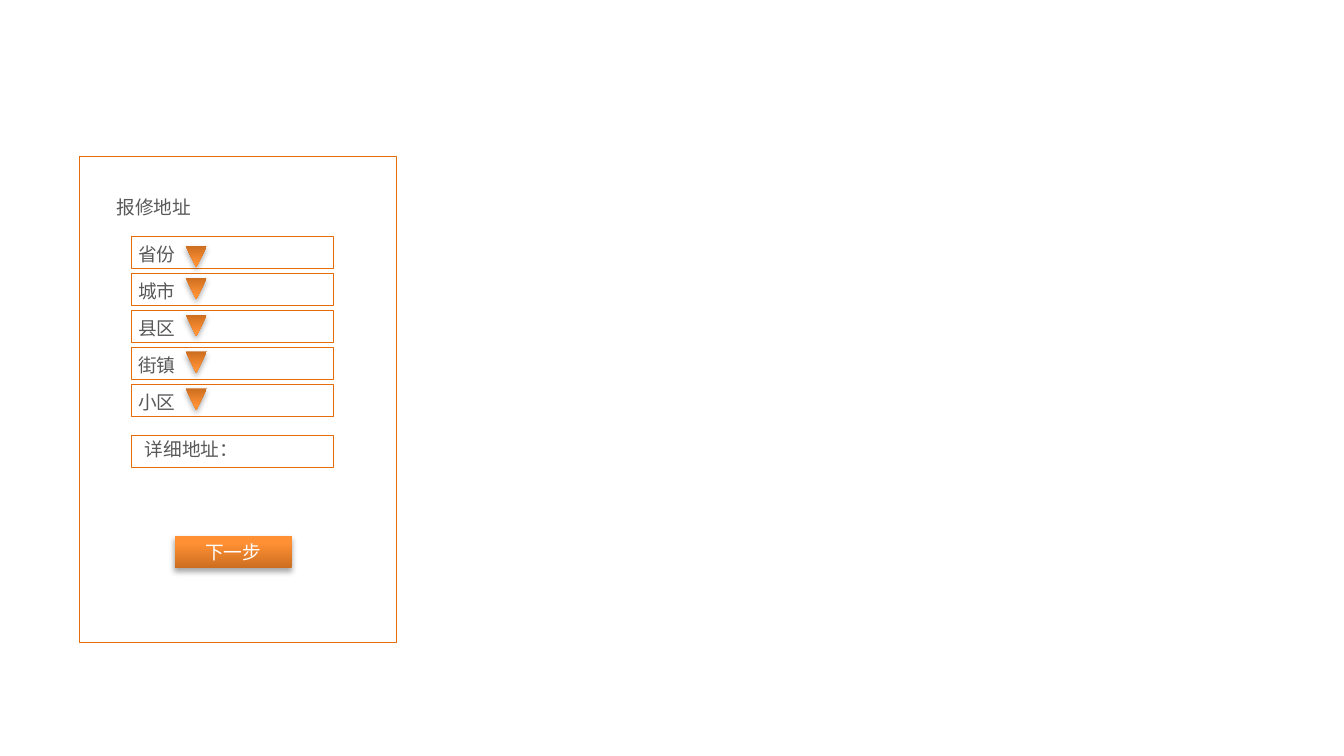
"""Build a slide with a repair-address form: five drop-down rows, a detail field and a button."""
from lxml.etree import SubElement
from pptx import Presentation
from pptx.dml.color import RGBColor
from pptx.enum.shapes import MSO_SHAPE
from pptx.enum.text import MSO_ANCHOR, MSO_AUTO_SIZE, PP_ALIGN
from pptx.oxml.ns import qn
from pptx.util import Inches, Pt

TITLE = "报修地址"
DROPDOWNS = [("省份", 0.07), ("城市", 0.03), ("县区", 0.03), ("街镇", 0.03), ("小区", 0.03)]
DETAIL = "详细地址："
BUTTON = "下一步"

COLORS = {"border": "E46C0A", "text": "595959", "button_text": "FFFFFF", "shadow": "000000"}
GRADIENT = [(0, "CC6E20"), (80, "FF9034"), (100, "FF9136")]
CHINESE_FONT = "Noto Sans CJK SC"
BUTTON_FONT = "Calibri"

SLIDE_WIDTH = 10
SLIDE_HEIGHT = SLIDE_WIDTH * 9 / 16
FIELD_LEFT, FIELD_WIDTH, FIELD_HEIGHT = 0.98, 1.5, 0.24
FIRST_ROW, LAST_ROW = 1.76, 2.86
ARROW_LEFT, ARROW_SIZE = 1.38, 0.16


def add_span(frame, text, font, color):
    span = frame.paragraphs[0].add_run()
    span.text = text
    span.font.size = Pt(10)
    span.font.name = font
    span.font.color.rgb = RGBColor.from_string(COLORS[color])
    SubElement(span.font._element, qn("a:ea")).set("typeface", CHINESE_FONT)


def add_label(page, text, left, top, width):
    box = page.shapes.add_textbox(Inches(left), Inches(top), Inches(width), Inches(0.27))
    box.text_frame.word_wrap = False
    box.text_frame.auto_size = MSO_AUTO_SIZE.SHAPE_TO_FIT_TEXT
    add_span(box.text_frame, text, CHINESE_FONT, "text")


def add_shape(page, kind, left, top, width, height):
    shape = page.shapes.add_shape(kind, Inches(left), Inches(top), Inches(width), Inches(height))
    shape.shadow.inherit = False
    return shape


def add_outline(page, left, top, width, height):
    frame = add_shape(page, MSO_SHAPE.RECTANGLE, left, top, width, height)
    frame.fill.background()
    frame.line.color.rgb = RGBColor.from_string(COLORS["border"])
    frame.line.width = Pt(0.25)


def add_raised(page, kind, left, top, width, height):
    shape = add_shape(page, kind, left, top, width, height)
    shape.line.fill.background()
    shape.fill.gradient()
    shape.fill.gradient_angle = 90
    properties = shape._element.spPr
    stops = properties.find(qn("a:gradFill")).find(qn("a:gsLst"))
    for stop in list(stops):
        stops.remove(stop)
    for percent, color in GRADIENT:
        stop = SubElement(stops, qn("a:gs"), pos=str(percent * 1000))
        SubElement(stop, qn("a:srgbClr"), val=color)
    shadow = SubElement(properties.find(qn("a:effectLst")), qn("a:outerShdw"),
                        blurRad=str(Pt(3.1)), dist=str(Pt(1.8)), dir="5400000", rotWithShape="0")
    tint = SubElement(shadow, qn("a:srgbClr"), val=COLORS["shadow"])
    SubElement(tint, qn("a:alpha"), val="35000")
    return shape


def main():
    deck = Presentation()
    deck.slide_width, deck.slide_height = Inches(SLIDE_WIDTH), Inches(SLIDE_HEIGHT)
    page = deck.slides.add_slide(deck.slide_layouts[6])

    add_outline(page, 0.59, 1.16, 2.36, 3.62)
    add_label(page, TITLE, 0.77, 1.41, 0.76)

    pitch = (LAST_ROW - FIRST_ROW) / (len(DROPDOWNS) - 1)
    for index, (name, arrow_drop) in enumerate(DROPDOWNS):
        top = FIRST_ROW + index * pitch
        add_label(page, name, 0.93, top, 0.48)
        add_outline(page, FIELD_LEFT, top, FIELD_WIDTH, FIELD_HEIGHT)
        arrow = add_raised(page, MSO_SHAPE.ISOSCELES_TRIANGLE,
                           ARROW_LEFT, top + arrow_drop, ARROW_SIZE, ARROW_SIZE)
        arrow.rotation = 180

    add_outline(page, FIELD_LEFT, 3.24, FIELD_WIDTH, FIELD_HEIGHT)
    add_label(page, DETAIL, FIELD_LEFT, 3.21, 0.9)

    button = add_raised(page, MSO_SHAPE.RECTANGLE, 1.3, 3.99, 0.87, FIELD_HEIGHT)
    button.text_frame.vertical_anchor = MSO_ANCHOR.MIDDLE
    button.text_frame.paragraphs[0].alignment = PP_ALIGN.CENTER
    add_span(button.text_frame, BUTTON, BUTTON_FONT, "button_text")

    deck.save("out.pptx")


if __name__ == "__main__":
    main()
